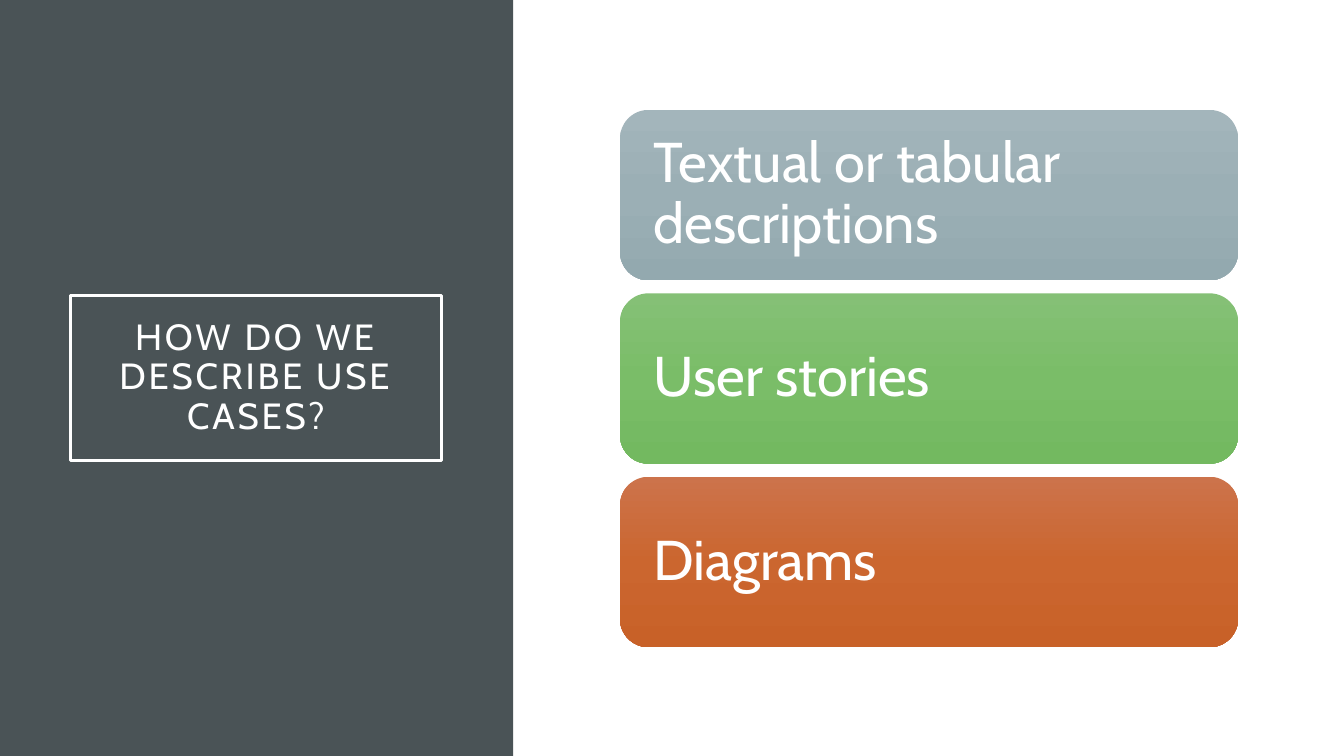
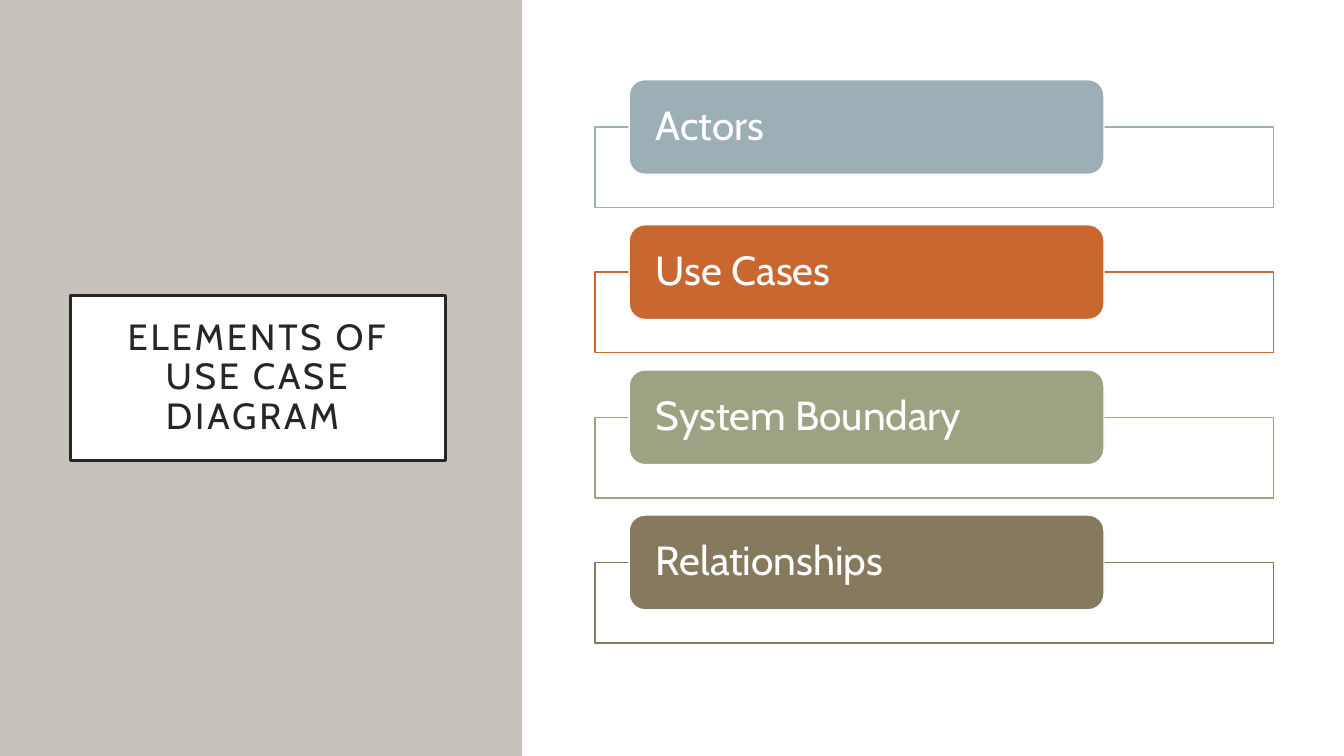
"""Build two slides on describing use cases and the elements of a use case diagram."""
import copy

import pptx
import pptx.dml.color
import pptx.enum.shapes
import pptx.enum.text
import pptx.oxml.ns
import pptx.util

RGB = pptx.dml.color.RGBColor
SHAPES = pptx.enum.shapes.MSO_SHAPE
ALIGN = pptx.enum.text.PP_ALIGN

WHITE = RGB(0xFF, 0xFF, 0xFF)
INK = RGB(0x26, 0x26, 0x26)
SLATE = RGB(0x4A, 0x53, 0x56)
STONE = RGB(0xC6, 0xC1, 0xBA)
BLUE_GREY = RGB(0x9B, 0xAF, 0xB5)
ORANGE = RGB(0xC9, 0x67, 0x31)
SAGE = RGB(0x9C, 0xA3, 0x83)
BROWN = RGB(0x87, 0x79, 0x5D)
BLUE_GREY_FADE = (RGB(0xA3, 0xB5, 0xBB), BLUE_GREY, RGB(0x93, 0xA9, 0xAF))
GREEN_FADE = (RGB(0x85, 0xC0, 0x76), RGB(0x7A, 0xBD, 0x68), RGB(0x73, 0xB9, 0x60))
ORANGE_FADE = (RGB(0xCC, 0x73, 0x4B), RGB(0xCB, 0x66, 0x2F), RGB(0xC8, 0x61, 0x28))

EMU_PER_PX = 9144
WIDTH, HEIGHT = 1333, 750


def px(length):
    return pptx.util.Emu(length * EMU_PER_PX)


def apply(target, values):
    for name, value in values.items():
        setattr(target, name, value)


class UseCaseDeck:
    font = "Cabin"

    def __init__(self):
        self.deck = pptx.Presentation()
        apply(self.deck, {"slide_width": px(WIDTH), "slide_height": px(HEIGHT)})
        self.page = None

    def new_page(self):
        self.page = self.deck.slides.add_slide(self.deck.slide_layouts[6])

    def box(self, area, fill=None, line=None, weight=1, kind=SHAPES.RECTANGLE):
        box = self.page.shapes.add_shape(kind, *map(px, area))
        box.shadow.inherit = False
        if fill is None:
            box.fill.background()
        elif isinstance(fill, tuple) and not isinstance(fill, RGB):
            self.fade(box, fill)
        else:
            box.fill.solid()
            box.fill.fore_color.rgb = fill
        if line is None:
            box.line.fill.background()
        else:
            box.line.color.rgb = line
            box.line.width = pptx.util.Pt(weight)
        return box

    def fade(self, box, colors):
        box.fill.gradient()
        box.fill.gradient_angle = 270
        stops = box._element.spPr.find(".//" + pptx.oxml.ns.qn("a:gsLst"))
        stops.insert(1, copy.deepcopy(stops[0]))
        for stop, color, position in zip(box.fill.gradient_stops, colors, (0, 0.5, 1)):
            stop.color.rgb = color
            stop.position = position

    def label(self, box, text, size, color, align, side, edge, tracking=0):
        frame = box.text_frame
        apply(frame, {
            "word_wrap": True,
            "vertical_anchor": pptx.enum.text.MSO_ANCHOR.MIDDLE,
            "margin_left": px(side), "margin_right": px(side),
            "margin_top": px(edge), "margin_bottom": px(edge),
        })
        para = frame.paragraphs[0]
        apply(para, {"alignment": align, "line_spacing": 0.9})
        span = para.add_run()
        span.text = text
        apply(span.font, {"name": self.font, "size": pptx.util.Pt(size)})
        span.font.color.rgb = color
        if tracking:
            span._r.get_or_add_rPr().set("spc", str(tracking * 100))

    def side_title(self, text, band_width, band_color, title_width, ink, fill=None):
        self.box((0, 0, band_width, HEIGHT), band_color)
        title = self.box((70, 293, title_width, 164), fill, ink, 2.5)
        self.label(title, text, 26, ink, ALIGN.CENTER, 20, 20, tracking=2)

    def card(self, area, text, size, fill, line=None, side=25, edge=25):
        card = self.box(area, fill, line, kind=SHAPES.ROUNDED_RECTANGLE)
        self.label(card, text, size, WHITE, ALIGN.LEFT, side, edge)

    def framed_card(self, top, text, color):
        self.box((590, top + 47, 673, 80), WHITE, color)
        self.card((624, top, 471, 94), text, 29, color, WHITE, side=22, edge=4)


def main():
    show = UseCaseDeck()

    show.new_page()
    show.side_title("HOW DO WE DESCRIBE USE CASES?", 509, SLATE, 368, WHITE)
    ways = [
        ("Textual or tabular descriptions", BLUE_GREY_FADE),
        ("User stories", GREEN_FADE),
        ("Diagrams", ORANGE_FADE),
    ]
    for row, (text, colors) in enumerate(ways):
        show.card((615, 109 + row * 182, 613, 169), text, 40, colors)

    show.new_page()
    show.side_title("ELEMENTS OF USE CASE DIAGRAM ", 518, STONE, 372, INK, WHITE)
    show.box((520, 0, WIDTH - 520, HEIGHT), WHITE)
    elements = [
        ("Actors", BLUE_GREY),
        ("Use Cases", ORANGE),
        ("System Boundary", SAGE),
        ("Relationships", BROWN),
    ]
    for row, (text, color) in enumerate(elements):
        show.framed_card(79 + row * 144, text, color)

    show.deck.save("out.pptx")


if __name__ == "__main__":
    main()
